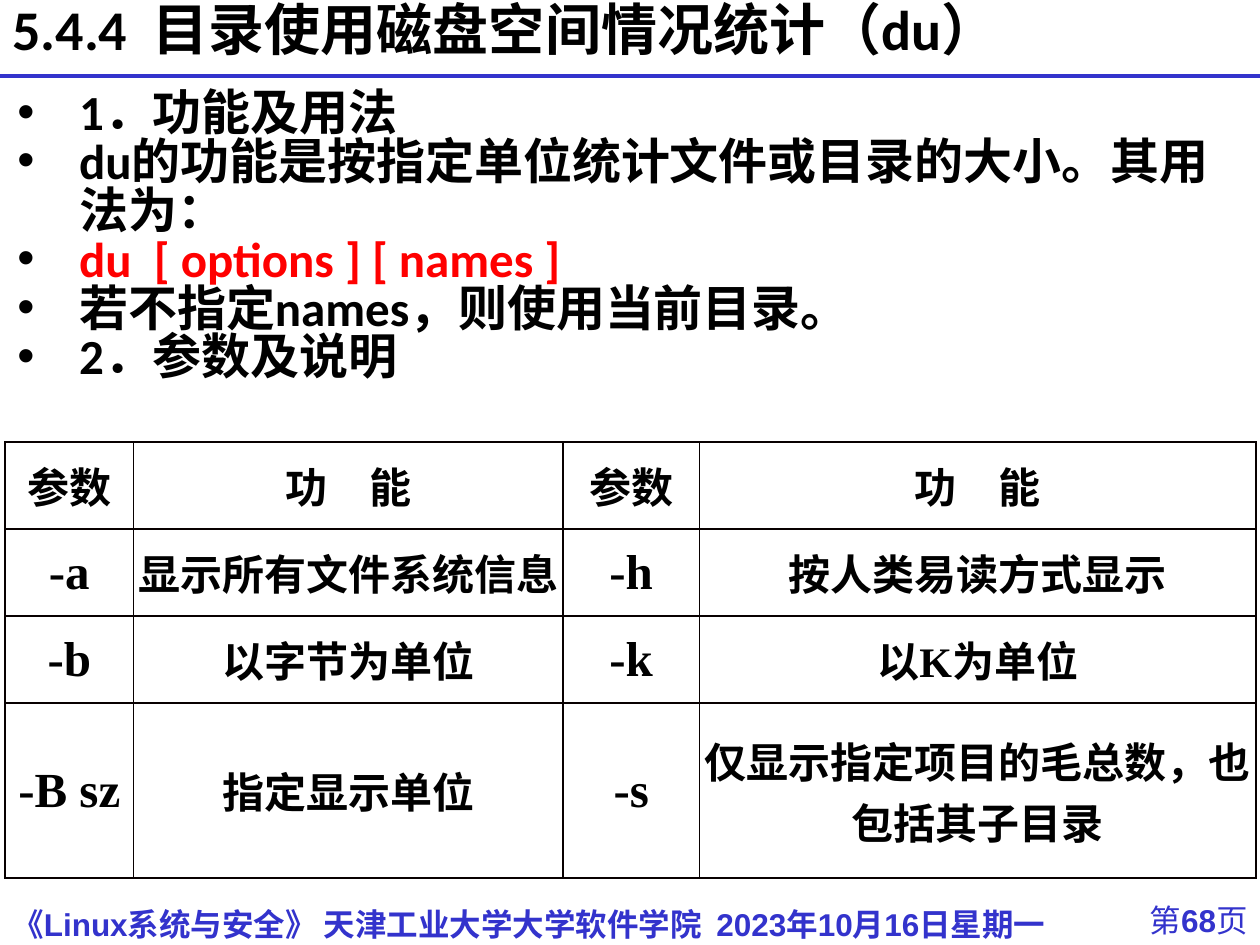
from lxml.etree import SubElement
from pptx import Presentation
from pptx.dml.color import RGBColor
from pptx.enum.shapes import MSO_CONNECTOR
from pptx.enum.text import MSO_ANCHOR, PP_ALIGN
from pptx.oxml.ns import qn
from pptx.util import Inches, Pt

COLORS = {"blue": "3333CC", "black": "000000", "red": "FF0000", "border": "080000"}
FORMATS = {
    "title": {"name": "Calibri", "size": Pt(32), "bold": True},
    "body": {"name": "Calibri", "size": Pt(28), "bold": True},
    "option": {"name": "Times New Roman", "size": Pt(28), "bold": True},
    "cell": {"name": "Times New Roman", "size": Pt(24), "bold": True},
    "footer": {"name": "Arial", "size": Pt(18), "bold": True},
    "page": {"name": "Arial", "size": Pt(18), "bold": False},
}
BODY_LINES = [
    ("1．功能及用法", "black"),
    ("du的功能是按指定单位统计文件或目录的大小。其用法为：", "black"),
    ("du  [ options ] [ names ]", "red"),
    ("若不指定names，则使用当前目录。", "black"),
    ("2．参数及说明", "black"),
]
OPTION_ROWS = [
    ["参数", "功　能", "参数", "功　能"],
    ["-a", "显示所有文件系统信息", "-h", "按人类易读方式显示"],
    ["-b", "以字节为单位", "-k", "以K为单位"],
    ["-B sz", "指定显示单位", "-s", "仅显示指定项目的毛总数，也包括其子目录"],
]
COLUMN_WIDTHS = [1.02, 3.41, 1.08, 4.42]
ROW_HEIGHTS = [0.69, 0.69, 0.69, 1.39]


def add_run(paragraph, text, style, color):
    run = paragraph.add_run()
    run.text = text
    for name, value in FORMATS[style].items():
        setattr(run.font, name, value)
    run.font.color.rgb = RGBColor.from_string(COLORS[color])


def add_text_frame(slide, left, top, width, height):
    shape = slide.shapes.add_textbox(Inches(left), Inches(top), Inches(width), Inches(height))
    shape.text_frame.word_wrap = True
    return shape.text_frame


def add_bullet(paragraph):
    properties = paragraph._p.get_or_add_pPr()
    properties.set("marL", str(Inches(0.49)))
    properties.set("indent", str(-Inches(0.49)))
    bullet_color = SubElement(properties, qn("a:buClr"))
    SubElement(bullet_color, qn("a:srgbClr"), val=COLORS["black"])
    SubElement(properties, qn("a:buFont"), typeface="Arial")
    SubElement(properties, qn("a:buChar"), char="•")


def add_title(slide, left, top, width, height):
    frame = add_text_frame(slide, left, top, width, height)
    frame.vertical_anchor = MSO_ANCHOR.MIDDLE
    paragraph = frame.paragraphs[0]
    paragraph.line_spacing = 0.87
    add_run(paragraph, "5.4.4  目录使用磁盘空间情况统计（du）", "title", "black")


def add_title_rule(slide, left, top, width):
    rule = slide.shapes.add_connector(
        MSO_CONNECTOR.STRAIGHT, Inches(left), Inches(top), Inches(left + width), Inches(top)
    )
    rule.line.color.rgb = RGBColor.from_string(COLORS["blue"])
    rule.line.width = Pt(2.25)
    SubElement(rule._element.spPr, qn("a:effectLst"))


def add_body(slide, left, top, width, height):
    frame = add_text_frame(slide, left, top, width, height)
    for index, (text, color) in enumerate(BODY_LINES):
        paragraph = frame.add_paragraph() if index else frame.paragraphs[0]
        add_bullet(paragraph)
        paragraph.line_spacing = 0.83
        add_run(paragraph, text, "body", color)


def add_borders(cell, column_index):
    properties = cell._tc.get_or_add_tcPr()
    thin_side = {2: "lnR", 3: "lnL"}.get(column_index)
    for position, side in enumerate(("lnL", "lnR", "lnT", "lnB")):
        width = Pt(0.5) if side == thin_side else Pt(1)
        border = SubElement(properties, qn(f"a:{side}"), w=str(width))
        properties.insert(position, border)
        fill = SubElement(border, qn("a:solidFill"))
        SubElement(fill, qn("a:srgbClr"), val=COLORS["border"])


def add_option_table(slide, left, top, width, height):
    shape = slide.shapes.add_table(
        len(ROW_HEIGHTS), len(COLUMN_WIDTHS), Inches(left), Inches(top), Inches(width), Inches(height)
    )
    table = shape.table
    for column, column_width in zip(table.columns, COLUMN_WIDTHS):
        column.width = Inches(column_width)
    for row, row_height in zip(table.rows, ROW_HEIGHTS):
        row.height = Inches(row_height)
    for row_index, texts in enumerate(OPTION_ROWS):
        for column_index, text in enumerate(texts):
            cell = table.cell(row_index, column_index)
            cell.fill.background()
            cell.vertical_anchor = MSO_ANCHOR.MIDDLE
            for side in ("left", "top", "right", "bottom"):
                setattr(cell, f"margin_{side}", 0)
            add_borders(cell, column_index)
            paragraph = cell.text_frame.paragraphs[0]
            paragraph.alignment = PP_ALIGN.CENTER
            add_run(paragraph, text, "option" if text.startswith("-") else "cell", "black")


def add_footer(slide, left, top, width, height):
    frame = add_text_frame(slide, left, top + 0.03, width, height)
    text = "《Linux系统与安全》 天津工业大学大学软件学院  2023年10月16日星期一"
    add_run(frame.paragraphs[0], text, "footer", "blue")

    page_width = 1.89
    page_frame = add_text_frame(slide, left + width - page_width, top, page_width, height)
    paragraph = page_frame.paragraphs[0]
    paragraph.alignment = PP_ALIGN.RIGHT
    for part, style in (("第", "page"), ("68", "footer"), ("页", "page")):
        add_run(paragraph, part, style, "blue")


def main():
    presentation = Presentation()
    presentation.slide_width = Inches(10)
    presentation.slide_height = Inches(7.5)
    slide = presentation.slides.add_slide(presentation.slide_layouts[6])
    add_footer(slide, 0, 7.1, 10, 0.37)
    add_title_rule(slide, 0, 0.6, 10)
    add_title(slide, 0, 0, 10, 0.52)
    add_body(slide, 0.04, 0.68, 9.92, 6.3)
    add_option_table(slide, 0.04, 3.51, 9.92, 3.47)
    presentation.save("out.pptx")


if __name__ == "__main__":
    main()
